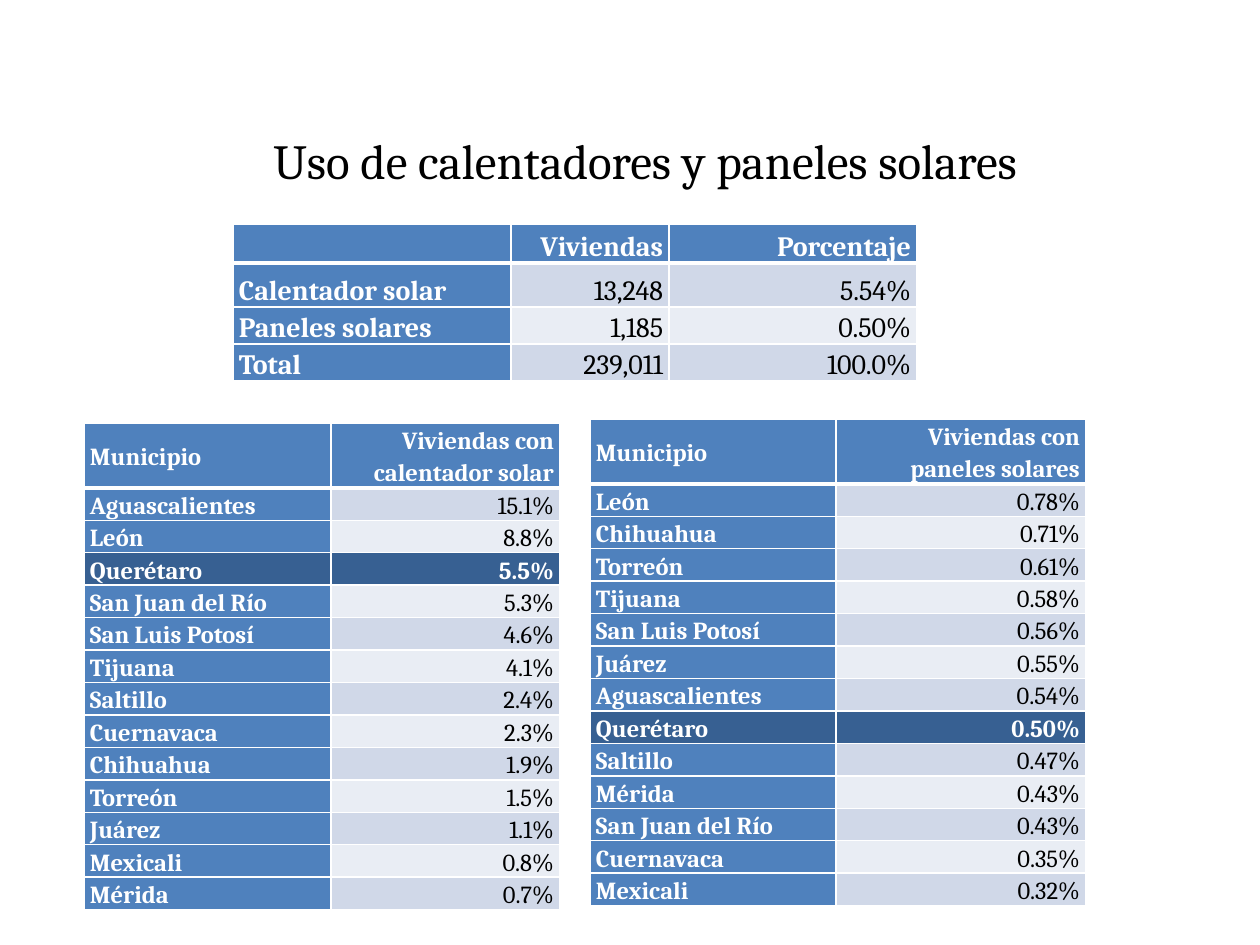
from dataclasses import dataclass

from lxml.etree import SubElement
from pptx import Presentation
from pptx.dml.color import RGBColor
from pptx.enum.text import MSO_ANCHOR, PP_ALIGN
from pptx.oxml.ns import qn
from pptx.util import Emu, Pt

EMU_PER_PX = 914400 / 126
FONT = "Cambria"
BLACK = RGBColor(0x00, 0x00, 0x00)
WHITE = RGBColor(0xFF, 0xFF, 0xFF)
BLUE = RGBColor(0x4F, 0x81, 0xBD)
DARK_BLUE = RGBColor(0x37, 0x60, 0x92)
BANDS = (RGBColor(0xD0, 0xD8, 0xE8), RGBColor(0xE9, 0xED, 0xF4))
HIGHLIGHTED = "Querétaro"


@dataclass(frozen=True)
class DataTable:
    left: int
    top: int
    columns: tuple[int, ...]
    heights: tuple[int, ...]
    size: int
    label_anchor: MSO_ANCHOR
    rows: tuple[tuple[str, ...], ...]


def px(length: int) -> Emu:
    return Emu(round(length * EMU_PER_PX))


def write(frame, text: str, *, size: int, color: RGBColor, bold: bool = False,
          align=PP_ALIGN.LEFT, spacing: float | None = None) -> None:
    para = frame.paragraphs[0]
    para.alignment = align
    para.line_spacing = spacing
    span = para.add_run()
    span.text = text
    span.font.name = FONT
    span.font.size = Pt(size)
    span.font.bold = bold
    span.font.color.rgb = color


def set_borders(cell, widths: dict[str, int]) -> None:
    properties = cell._tc.get_or_add_tcPr()
    for side, width in widths.items():
        line = SubElement(properties, qn(f"a:ln{side}"), w=str(Pt(width)))
        fill = SubElement(line, qn("a:solidFill"))
        SubElement(fill, qn("a:srgbClr"), val=str(WHITE))


def draw_table(page, data: DataTable) -> None:
    frame = page.shapes.add_table(
        len(data.rows), len(data.columns), px(data.left), px(data.top),
        px(sum(data.columns)), px(sum(data.heights)))
    table = frame.table
    table.horz_banding = False
    for column, width in zip(table.columns, data.columns):
        column.width = px(width)
    for row_index, (row, height) in enumerate(zip(data.rows, data.heights)):
        table.rows[row_index].height = px(height)
        for column_index, text in enumerate(row):
            cell = table.cell(row_index, column_index)
            is_header, is_label = row_index == 0, column_index == 0
            is_highlighted = row[0] == HIGHLIGHTED
            strong = is_header or is_label or is_highlighted

            # Thick rule between the header and the body
            set_borders(cell, {"L": 1, "R": 1, "T": 3 if row_index == 1 else 1,
                               "B": 3 if is_header else 1})
            cell.fill.solid()
            if is_highlighted:
                cell.fill.fore_color.rgb = DARK_BLUE
            elif strong:
                cell.fill.fore_color.rgb = BLUE
            else:
                cell.fill.fore_color.rgb = BANDS[(row_index - 1) % 2]

            cell.margin_left = cell.margin_right = px(6)
            cell.margin_top = cell.margin_bottom = 0
            cell.vertical_anchor = (data.label_anchor if is_header or is_label
                                    else MSO_ANCHOR.BOTTOM)
            write(cell.text_frame, text, size=data.size, bold=strong,
                  color=WHITE if strong else BLACK, spacing=1.15,
                  align=PP_ALIGN.LEFT if is_label else PP_ALIGN.RIGHT)


CITY_HEIGHTS = (64,) + (32,) * 13

SUMMARY = DataTable(233, 224, (278, 158, 248), (39, 44, 37, 37), 16, MSO_ANCHOR.BOTTOM, (
    ("", "Viviendas", "Porcentaje"),
    ("Calentador solar", "13,248", "5.54%"),
    ("Paneles solares", "1,185", "0.50%"),
    ("Total", "239,011", "100.0%"),
))

HEATERS = DataTable(84, 423, (247, 229), CITY_HEIGHTS, 14, MSO_ANCHOR.MIDDLE, (
    ("Municipio", "Viviendas con calentador solar"),
    ("Aguascalientes", "15.1%"),
    ("León", "8.8%"),
    ("Querétaro", "5.5%"),
    ("San Juan del Río", "5.3%"),
    ("San Luis Potosí", "4.6%"),
    ("Tijuana", "4.1%"),
    ("Saltillo", "2.4%"),
    ("Cuernavaca", "2.3%"),
    ("Chihuahua", "1.9%"),
    ("Torreón", "1.5%"),
    ("Juárez", "1.1%"),
    ("Mexicali", "0.8%"),
    ("Mérida", "0.7%"),
))

PANELS = DataTable(590, 419, (246, 250), CITY_HEIGHTS, 14, MSO_ANCHOR.MIDDLE, (
    ("Municipio", "Viviendas con paneles solares"),
    ("León", "0.78%"),
    ("Chihuahua", "0.71%"),
    ("Torreón", "0.61%"),
    ("Tijuana", "0.58%"),
    ("San Luis Potosí", "0.56%"),
    ("Juárez", "0.55%"),
    ("Aguascalientes", "0.54%"),
    ("Querétaro", "0.50%"),
    ("Saltillo", "0.47%"),
    ("Mérida", "0.43%"),
    ("San Juan del Río", "0.43%"),
    ("Cuernavaca", "0.35%"),
    ("Mexicali", "0.32%"),
))


def main() -> None:
    deck = Presentation()
    deck.slide_width, deck.slide_height = px(1260), px(945)
    page = deck.slides.add_slide(deck.slide_layouts[5])

    # Title
    title = page.shapes.title
    title.left, title.top, title.width, title.height = px(64), px(125), px(1162), px(69)
    title.text_frame.vertical_anchor = MSO_ANCHOR.MIDDLE
    write(title.text_frame, "Uso de calentadores y paneles solares",
          size=28, color=BLACK, align=PP_ALIGN.CENTER)

    # Summary above, the two city rankings below
    for data in (SUMMARY, HEATERS, PANELS):
        draw_table(page, data)

    deck.save("out.pptx")


if __name__ == "__main__":
    main()
